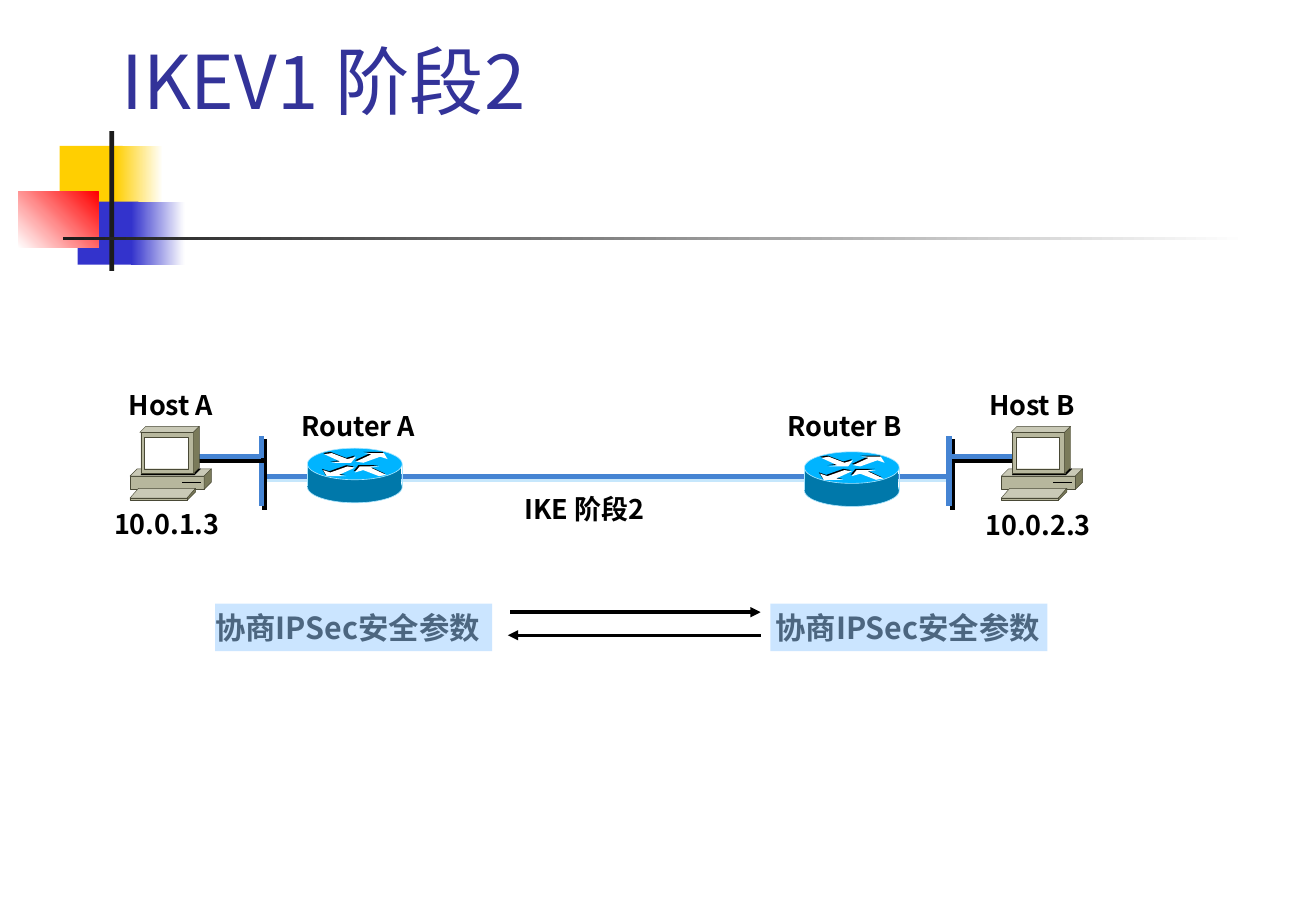
import pptx
import pptx.util
import pptx.dml.color
import pptx.enum.shapes
import pptx.enum.text
import pptx.oxml
import pptx.oxml.ns

Inches = pptx.util.Inches
Pt = pptx.util.Pt
qn = pptx.oxml.ns.qn
RECT = pptx.enum.shapes.MSO_SHAPE.RECTANGLE
OVAL = pptx.enum.shapes.MSO_SHAPE.OVAL
CENTER = pptx.enum.text.PP_ALIGN.CENTER
NSDECLS = pptx.oxml.ns.nsdecls("a")

FONT = "Noto Sans CJK SC"
BLACK, WHITE = "000000", "FFFFFF"
LINK_BLUE = "4584D3"
CASE_FRONT, CASE_TOP, CASE_SIDE, CASE_EDGE = "B7B79D", "C9C9B6", "7A7A5A", "494936"
ROUTER_TOP, ROUTER_SIDE, ROUTER_EDGE = "00B4FF", "0078AA", "AAE6FF"


def rgb(color):
    return pptx.dml.color.RGBColor.from_string(color)


class Diagram:
    """Draws on the slide, or inside the device group that is open."""

    def __init__(self, slide):
        self.slide = slide
        self.open_layer(self.slide.shapes)

    def open_layer(self, shapes, dx=0, dy=0):
        self.shapes, self.dx, self.dy = shapes, dx, dy

    def open_group(self, dx, dy):
        self.open_layer(self.slide.shapes.add_group_shape().shapes, dx, dy)

    def close_group(self):
        self.open_layer(self.slide.shapes)

    def point(self, x, y):
        return Inches(x + self.dx), Inches(y + self.dy)

    def paint(self, shape, fill, edge=None, edge_width=0.25):
        shape.shadow.inherit = False
        shape.fill.solid()
        shape.fill.fore_color.rgb = rgb(fill)
        if edge:
            shape.line.color.rgb = rgb(edge)
            shape.line.width = Pt(edge_width)
        else:
            shape.line.fill.background()
        return shape

    def block(self, x, y, w, h, fill, edge=None, edge_width=0.25, kind=RECT):
        shape = self.shapes.add_shape(kind, *self.point(x, y), Inches(w), Inches(h))
        return self.paint(shape, fill, edge, edge_width)

    def fade(self, x, y, w, h, start, end, angle=0):
        shape = self.block(x, y, w, h, start)
        shape.fill.gradient()
        shape.fill.gradient_angle = angle
        for stop, color, position in zip(shape.fill.gradient_stops, (start, end), (0, 1)):
            stop.color.rgb = rgb(color)
            stop.position = position

    def veil(self, x, y, w, h, fill, opacity):
        shape = self.block(x, y, w, h, fill)
        color = shape._element.spPr.find(".//" + qn("a:srgbClr"))
        color.append(pptx.oxml.parse_xml(f'<a:alpha {NSDECLS} val="{opacity * 1000}"/>'))

    def outline(self, points, fill, edge=None):
        first, *rest = [self.point(x, y) for x, y in points]
        builder = self.shapes.build_freeform(*first)
        builder.add_line_segments(rest, close=True)
        self.paint(builder.convert_to_shape(), fill, edge)

    def line(self, start, end, color, width, shadow=None, arrow=False):
        connector = self.shapes.add_connector(
            pptx.enum.shapes.MSO_CONNECTOR.STRAIGHT, *self.point(*start), *self.point(*end))
        connector.line.color.rgb = rgb(color)
        connector.line.width = Pt(width)
        properties = connector._element.spPr
        if arrow:
            properties.find(qn("a:ln")).append(
                pptx.oxml.parse_xml(f'<a:tailEnd {NSDECLS} type="triangle"/>'))
        cast = (f'<a:outerShdw dist="{Pt(2.8)}" dir="2700000" algn="ctr" rotWithShape="0">'
                f'<a:srgbClr val="{shadow}"/></a:outerShdw>') if shadow else ""
        properties.append(pptx.oxml.parse_xml(f"<a:effectLst {NSDECLS}>{cast}</a:effectLst>"))

    def text(self, x, y, w, h, words, size=16, color=BLACK, bold=True, align=None,
             wrap=True, insets=(0.1, 0.05), grow=True, anchor="TOP"):
        frame = self.shapes.add_textbox(*self.point(x, y), Inches(w), Inches(h)).text_frame
        frame.word_wrap = wrap
        frame.margin_left = frame.margin_right = Inches(insets[0])
        frame.margin_top = frame.margin_bottom = Inches(insets[1])
        frame.vertical_anchor = pptx.enum.text.MSO_ANCHOR[anchor]
        frame.auto_size = pptx.enum.text.MSO_AUTO_SIZE["SHAPE_TO_FIT_TEXT" if grow else "NONE"]
        paragraph = frame.paragraphs[0]
        paragraph.alignment = align
        run = paragraph.add_run()
        run.text = words
        run.font.size, run.font.bold, run.font.name = Pt(size), bold, FONT
        run.font.color.rgb = rgb(color)
        run.font._element.append(pptx.oxml.parse_xml(f'<a:ea {NSDECLS} typeface="{FONT}"/>'))

    def host(self, dx):
        self.open_group(dx, 0)
        # Case and drive slot
        self.block(1.07, 3.92, 0.61, 0.11, CASE_FRONT, CASE_EDGE)
        self.outline([(1.07, 3.92), (1.13, 3.86), (1.74, 3.86), (1.68, 3.92)], CASE_TOP, CASE_EDGE)
        self.line((1.65, 3.97), (1.5, 3.97), BLACK, 0.75)
        self.outline([(1.68, 4.03), (1.74, 3.97), (1.74, 3.86), (1.68, 3.92)], CASE_SIDE, CASE_EDGE)
        # Keyboard
        self.outline([(1.07, 4.1), (1.14, 4.02), (1.61, 4.02), (1.54, 4.1)], CASE_TOP, CASE_EDGE)
        self.outline([(1.54, 4.12), (1.61, 4.05), (1.61, 4.02), (1.54, 4.1)], CASE_SIDE, CASE_EDGE)
        self.block(1.07, 4.1, 0.47, 0.02, CASE_FRONT, CASE_EDGE)
        # Monitor
        self.outline([(1.16, 3.91), (1.21, 3.86), (1.65, 3.86), (1.6, 3.91)], BLACK, BLACK)
        self.outline([(1.15, 3.56), (1.2, 3.51), (1.64, 3.51), (1.59, 3.56)], CASE_TOP, CASE_EDGE)
        self.block(1.16, 3.56, 0.44, 0.34, CASE_FRONT, CASE_EDGE)
        self.block(1.19, 3.6, 0.36, 0.26, WHITE, CASE_EDGE)
        self.outline([(1.59, 3.9), (1.64, 3.85), (1.64, 3.51), (1.59, 3.56)], CASE_SIDE, CASE_EDGE)
        self.close_group()

    def router(self, dx, dy):
        self.open_group(dx, dy)
        self.block(2.53, 3.88, 0.78, 0.26, ROUTER_SIDE, ROUTER_EDGE, 0.38, OVAL)
        self.block(2.53, 3.82, 0.77, 0.19, ROUTER_SIDE)
        self.block(2.53, 3.69, 0.78, 0.26, ROUTER_TOP, ROUTER_EDGE, 0.38, OVAL)
        # Two arrows, each with its half-turn twin, over a black shade
        outward = [(2.93, 3.8), (2.99, 3.81), (3.13, 3.76), (3.19, 3.78),
                   (3.16, 3.73), (3.0, 3.73), (3.06, 3.74)]
        inward = [(2.67, 3.74), (2.73, 3.73), (2.86, 3.78), (2.93, 3.76),
                  (2.89, 3.81), (2.73, 3.81), (2.8, 3.8)]
        for shift, color in ((-0.01, BLACK), (0, WHITE)):
            for arrow in (outward, inward):
                twin = [(5.85 - x, 7.65 - y) for x, y in arrow]
                for points in (arrow, twin):
                    self.outline([(x + shift, y + shift) for x, y in points], color)
        for x in (2.53, 3.31):
            self.line((x, 3.82), (x, 4), ROUTER_EDGE, 0.38)
        self.close_group()


def main():
    deck = pptx.Presentation()
    deck.slide_width, deck.slide_height = Inches(10.83), Inches(7.5)
    diagram = Diagram(deck.slides.add_slide(deck.slide_layouts[6]))

    # Corner ornament and title
    diagram.block(0.49, 1.2, 0.52, 0.52, "FFCF01")
    diagram.fade(0.95, 1.2, 0.39, 0.52, "FFCF01", WHITE)
    diagram.block(0.64, 1.66, 0.5, 0.52, "3333CC")
    diagram.fade(1.08, 1.66, 0.44, 0.52, "3333CC", WHITE)
    diagram.fade(0.15, 1.58, 0.66, 0.46, WHITE, "FF0000", angle=45)
    diagram.block(0.9, 1.08, 0.04, 1.15, "1C1C1C")
    diagram.fade(0.52, 1.95, 9.75, 0.03, "1C1C1C", WHITE)
    diagram.text(0.9, 0.23, 9, 0.84, "IKEV1 阶段2", size=44, color="333399",
                 bold=False, grow=False, anchor="BOTTOM")

    # Negotiated parameters
    for x, width in ((6.16, 2.62), (1.59, 2.54)):
        diagram.text(x, 4.97, width, 1.07, "协商IPSec安全参数", size=18, align=CENTER)

    # Network links
    left_lan, right_lan = 2.15, 7.81
    diagram.line((left_lan, 3.92), (right_lan, 3.92), LINK_BLUE, 3, shadow="C6E7FC")
    for lan in (left_lan, right_lan):
        diagram.line((lan, 3.59), (lan, 4.17), LINK_BLUE, 3, shadow=BLACK)
    for start in (1.57, right_lan):
        diagram.line((start, 3.76), (start + 0.58, 3.76), LINK_BLUE, 3, shadow=BLACK)

    # Devices and their labels
    for dx in (0, 7.17):
        diagram.host(dx)
    for x, y, width, name in ((0.98, 3.16, 0.92, "Host A"), (8.06, 3.16, 0.91, "Host B"),
                              (2.4, 3.33, 1.22, "Router A"), (6.4, 3.33, 1.2, "Router B")):
        diagram.text(x, y, width, 0.35, name, wrap=False, insets=(0.08, 0.04))
    for dx, dy in ((0, 0), (4.09, 0.03)):
        diagram.router(dx, dy)
    diagram.text(0.84, 4.13, 1.25, 0.37, "10.0.1.3")
    diagram.text(8.01, 4.14, 1.12, 0.37, "10.0.2.3")
    diagram.text(4.21, 4.01, 1.2, 0.37, "IKE 阶段2", align=CENTER)

    # Highlights and the exchange between them
    for x in (1.77, 6.34):
        diagram.veil(x, 4.97, 2.28, 0.39, "99CCFF", 50)
    diagram.line((4.2, 5.04), (6.26, 5.04), BLACK, 2, arrow=True)
    diagram.line((6.26, 5.23), (4.18, 5.23), BLACK, 2, arrow=True)

    deck.save("out.pptx")


if __name__ == "__main__":
    main()
